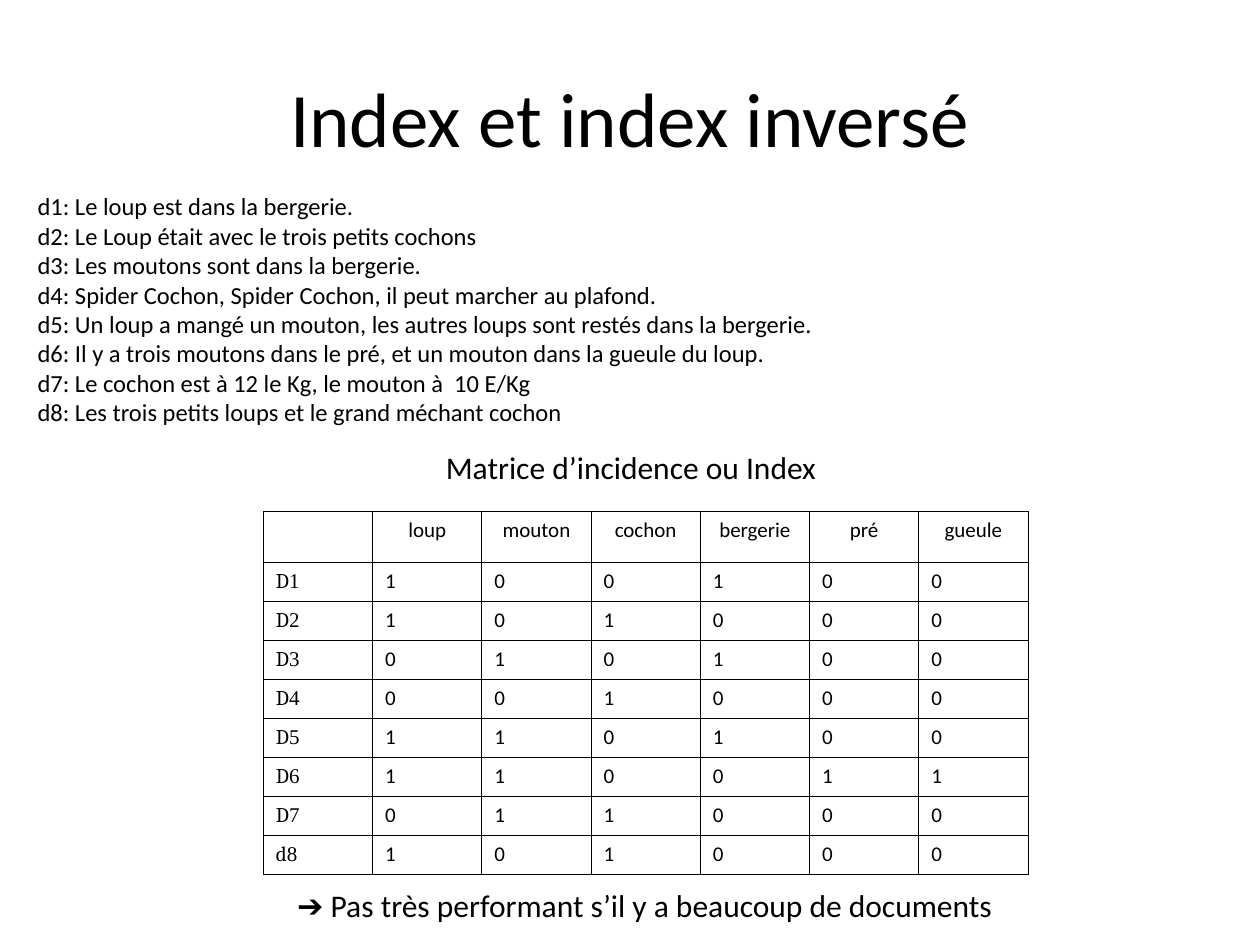
from lxml import etree
from pptx import Presentation
from pptx.dml.color import RGBColor
from pptx.enum.text import MSO_ANCHOR, PP_ALIGN
from pptx.oxml.ns import qn
from pptx.util import Inches, Pt

LEFT, CENTER = PP_ALIGN.LEFT, PP_ALIGN.CENTER
TOP, MIDDLE = MSO_ANCHOR.TOP, MSO_ANCHOR.MIDDLE
COLORS = {"text": "000000", "border": "000000", "cell": "FFFFFF"}
BODY_FONT = "Calibri"

TITLE = "Index et index inversé"
DOCUMENTS = [
    "d1: Le loup est dans la bergerie.",
    "d2: Le Loup était avec le trois petits cochons",
    "d3: Les moutons sont dans la bergerie.",
    "d4: Spider Cochon, Spider Cochon, il peut marcher au plafond.",
    "d5: Un loup a mangé un mouton, les autres loups sont restés dans la bergerie.",
    "d6: Il y a trois moutons dans le pré, et un mouton dans la gueule du loup.",
    "d7: Le cochon est à 12 le Kg, le mouton à  10 E/Kg",
    "d8: Les trois petits loups et le grand méchant cochon",
]
CAPTION = "Matrice d’incidence ou Index"
CONCLUSION = [("➔", "Arial"),
              (" Pas très performant s’il y a beaucoup de documents", BODY_FONT)]
TERMS = ["loup", "mouton", "cochon", "bergerie", "pré", "gueule"]
INCIDENCE = [
    ("D1", "100100"),
    ("D2", "101000"),
    ("D3", "010100"),
    ("D4", "001000"),
    ("D5", "110100"),
    ("D6", "110011"),
    ("D7", "011000"),
    ("d8", "101000"),
]

TABLE_LEFT, TABLE_TOP, TABLE_WIDTH = 2.09, 4.06, 6.07
HEADER_HEIGHT, ROW_HEIGHT = 0.39, 0.31
BORDER_WIDTH = Pt(0.45)


def write(tf, paragraphs, size, align=LEFT):
    for i, runs in enumerate(paragraphs):
        p = tf.add_paragraph() if i else tf.paragraphs[0]
        p.alignment = align
        for text, font in runs:
            r = p.add_run()
            r.text = text
            for name, value in {"size": Pt(size), "name": font}.items():
                setattr(r.font, name, value)
            r.font.color.rgb = RGBColor.from_string(COLORS["text"])


def add_text(s, box, paragraphs, size, align=LEFT, anchor=TOP, wrap=True):
    tf = s.shapes.add_textbox(*map(Inches, box)).text_frame
    tf.word_wrap = wrap
    tf.vertical_anchor = anchor
    write(tf, paragraphs, size, align)


def style_cell(cell, anchor):
    tc_pr = cell._tc.get_or_add_tcPr()
    for side in ("lnL", "lnR", "lnT", "lnB"):
        ln = etree.SubElement(tc_pr, qn(f"a:{side}"), w=str(BORDER_WIDTH))
        fill = etree.SubElement(ln, qn("a:solidFill"))
        etree.SubElement(fill, qn("a:srgbClr"), val=COLORS["border"])
    cell.fill.solid()
    cell.fill.fore_color.rgb = RGBColor.from_string(COLORS["cell"])
    cell.vertical_anchor = anchor


def add_matrix(s):
    rows = [[[]] + [[(term, BODY_FONT)] for term in TERMS]]
    for label, bits in INCIDENCE:
        label_runs = [(label[0], "Cambria"), (label[1], "Times New Roman")]
        rows.append([label_runs] + [[(bit, BODY_FONT)] for bit in bits])
    height = HEADER_HEIGHT + ROW_HEIGHT * len(INCIDENCE)
    box = (TABLE_LEFT, TABLE_TOP, TABLE_WIDTH, height)
    table = s.shapes.add_table(len(rows), len(rows[0]), *map(Inches, box)).table
    table.first_row = table.horz_banding = False
    for i, row in enumerate(rows):
        table.rows[i].height = Inches(ROW_HEIGHT if i else HEADER_HEIGHT)
        for j, runs in enumerate(row):
            cell = table.cell(i, j)
            style_cell(cell, MIDDLE if i else TOP)
            write(cell.text_frame, [runs], 12, LEFT if i else CENTER)


def main():
    prs = Presentation()
    prs.slide_width, prs.slide_height = Inches(10), Inches(7.5)
    s = prs.slides.add_slide(prs.slide_layouts[6])
    add_text(s, (0.5, 0.3, 9, 1.25), [[(TITLE, BODY_FONT)]], 44, CENTER, MIDDLE)
    add_text(s, (0.2, 1.47, 9.61, 1.97),
             [[(line, BODY_FONT)] for line in DOCUMENTS], 14)
    add_matrix(s)
    add_text(s, (3.44, 3.51, 3.14, 0.4), [[(CAPTION, BODY_FONT)]], 18, wrap=False)
    add_text(s, (2.26, 6.98, 5.78, 0.4), [CONCLUSION], 18, wrap=False)
    prs.save("out.pptx")


if __name__ == "__main__":
    main()
